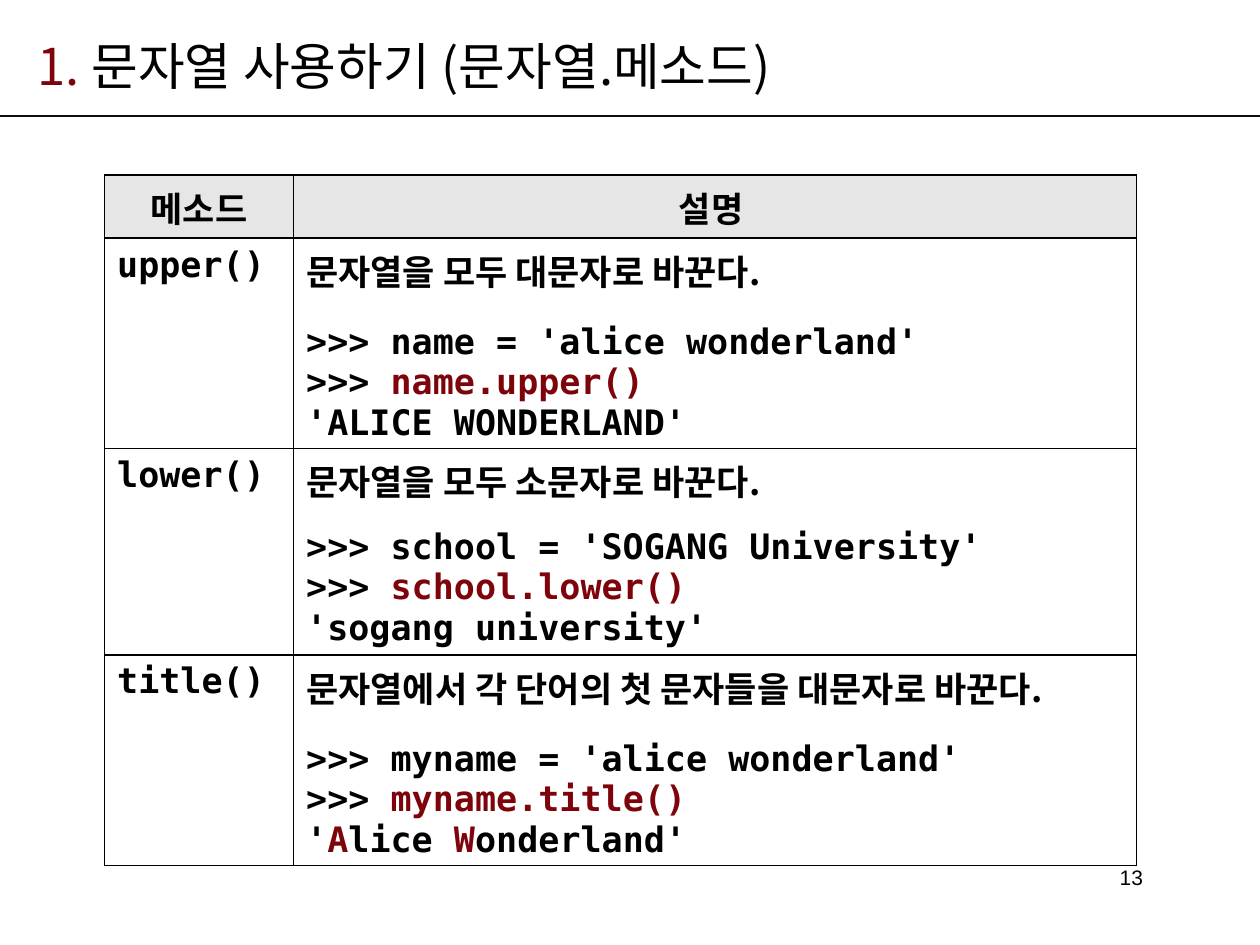
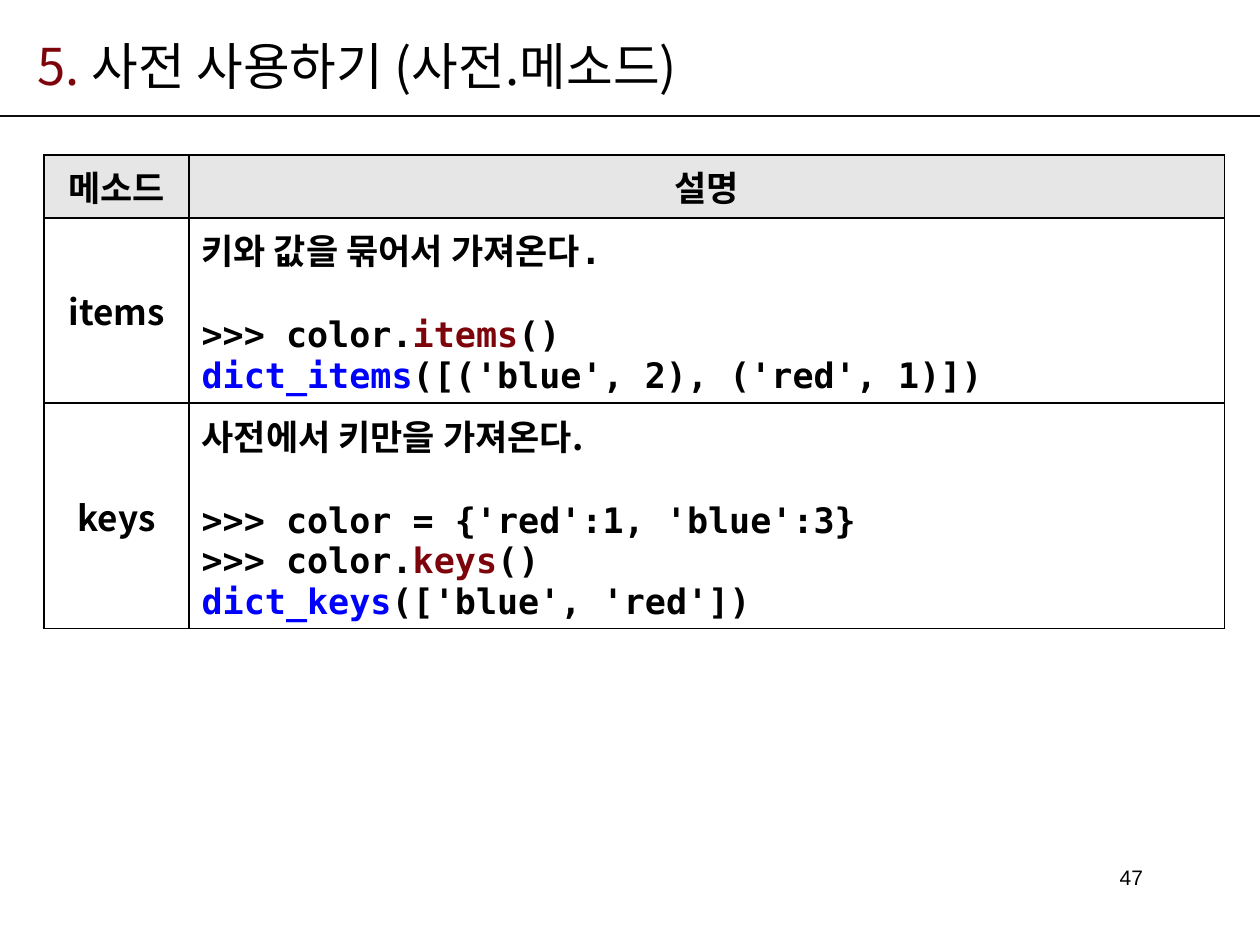
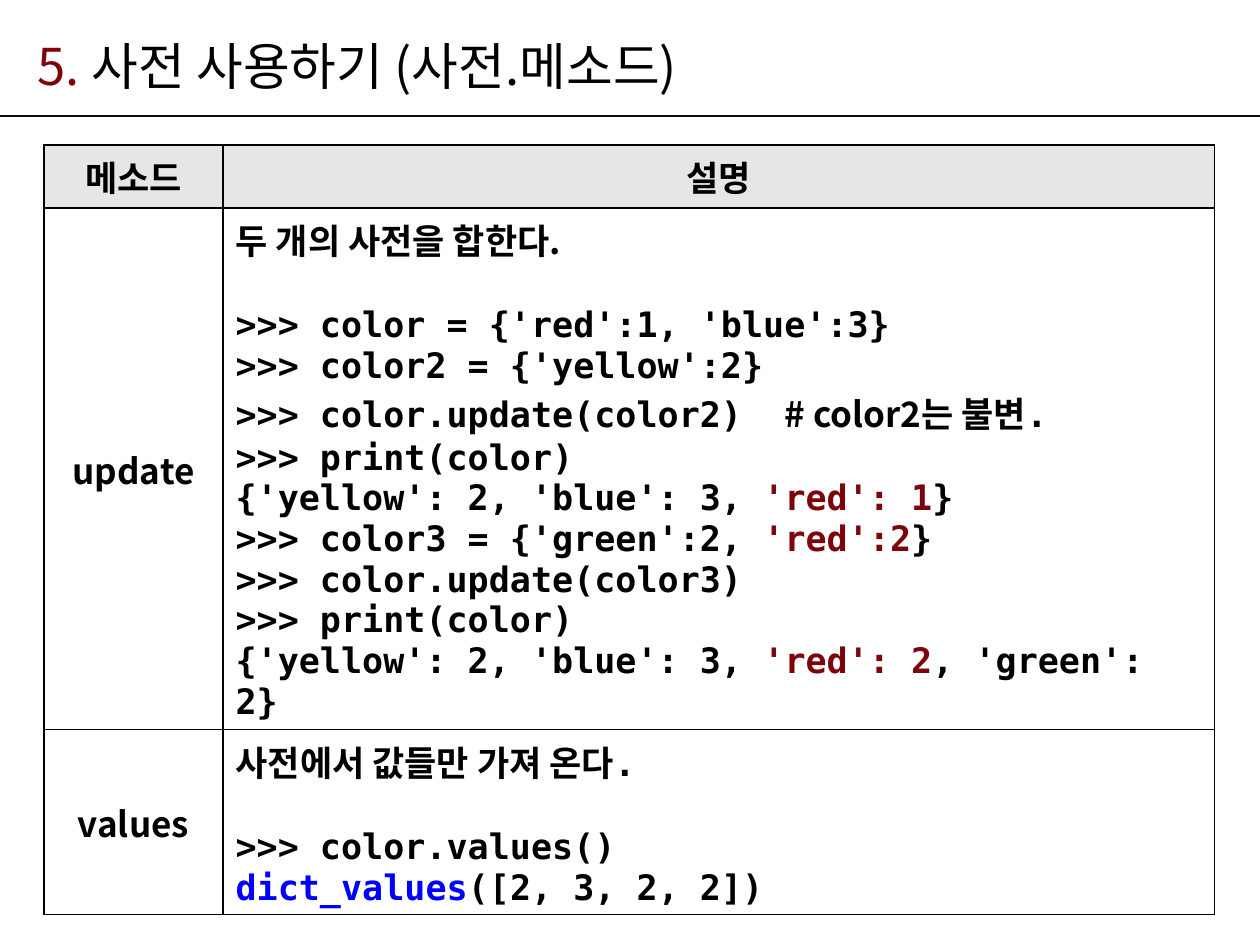
"""Build three slides of Python string and dictionary method tables."""
from dataclasses import dataclass

from lxml import etree
from pptx import Presentation
from pptx import util as u
from pptx.dml.color import RGBColor
from pptx.enum import shapes, text
from pptx.oxml.ns import qn


@dataclass(frozen=True)
class Theme:
    """Colours, fonts and type sizes of the deck."""

    black: str = "000000"
    rule: str = "0D0D0D"
    red: str = "7E040B"
    blue: str = "0000FF"
    header: str = "E6E6E6"
    white: str = "FFFFFF"
    korean: str = "Noto Sans CJK KR"
    mono: str = "DejaVu Sans Mono"
    number: str = "Arial"
    title_size: int = 29
    table_size: int = 20
    number_size: int = 12


THEME = Theme()
STYLES = {
    "note": (THEME.korean, THEME.black),
    "code": (THEME.mono, THEME.black),
    "key": (THEME.mono, THEME.red),
    "out": (THEME.mono, THEME.blue),
}
HEADER_HEIGHT = 0.5
LEFT, CENTER, RIGHT = text.PP_ALIGN.LEFT, text.PP_ALIGN.CENTER, text.PP_ALIGN.RIGHT

SLIDES = [
    {
        "title": ("1. ", "문자열 사용하기 (문자열.메소드)"),
        "number": "13",
        "place": (0.83, 1.39),
        "columns": (1.5, 6.69),
        "headers": ("메소드", "설명 "),
        "method": ("code", LEFT, text.MSO_ANCHOR.TOP),
        "rows": [
            ("upper()", 1.67, 15, [
                [("문자열을 모두 대문자로 바꾼다.", "note")],
                [(">>> name = 'alice wonderland'", "code")],
                [(">>> ", "code"), ("name.upper()", "key")],
                [("'ALICE WONDERLAND'", "code")],
            ]),
            ("lower()", 1.64, 12, [
                [("문자열을 모두 소문자로 바꾼다.", "note")],
                [(">>> school = 'SOGANG University'", "code")],
                [(">>> ", "code"), ("school.lower()", "key")],
                [("'sogang university'", "code")],
            ]),
            ("title()", 1.67, 15, [
                [("문자열에서 각 단어의 첫 문자들을 대문자로 바꾼다.", "note")],
                [(">>> myname = 'alice wonderland'", "code")],
                [(">>> ", "code"), ("myname.title()", "key")],
                [("'", "code"), ("A", "key"), ("lice ", "code"),
                 ("W", "key"), ("onderland'", "code")],
            ]),
        ],
    },
    {
        "title": ("5. ", "사전 사용하기 (사전.메소드)"),
        "number": "47",
        "place": (0.35, 1.23),
        "columns": (1.15, 8.22),
        "headers": ("메소드", "설명"),
        "method": ("note", CENTER, text.MSO_ANCHOR.MIDDLE),
        "rows": [
            ("items", 1.47, 23, [
                [("키와 값을 묶어서 가져온다.", "code")],
                [(">>> color.", "code"), ("items", "key"), ("()", "code")],
                [("dict_items", "out"), ("([('blue', 2), ('red', 1)])", "code")],
            ]),
            ("keys", 1.79, 23, [
                [("사전에서 키만을 가져온다.", "note")],
                [(">>> color = {'red':1, 'blue':3}", "code")],
                [(">>> color.", "code"), ("keys", "key"), ("()", "code")],
                [("dict_keys", "out"), ("(['blue', 'red'])", "code")],
            ]),
        ],
    },
    {
        "title": ("5. ", "사전 사용하기 (사전.메소드)"),
        "number": "50",
        "place": (0.35, 1.15),
        "columns": (1.42, 7.87),
        "headers": ("메소드", "설명"),
        "method": ("note", CENTER, text.MSO_ANCHOR.MIDDLE),
        "rows": [
            ("update", 4.14, 23, [
                [("두 개의 사전을 합한다.", "note")],
                [(">>> color = {'red':1, 'blue':3}", "code")],
                [(">>> color2 = {'yellow':2}", "code")],
                [(">>> color.update(color2)  ", "code"),
                 ("# color2는 불변", "note"), (".", "code")],
                [(">>> print(color)", "code")],
                [("{'yellow': 2, 'blue': 3, ", "code"), ("'red': 1", "key"), ("}", "code")],
                [(">>> color3 = {'green':2, ", "code"), ("'red':2", "key"), ("}", "code")],
                [(">>> color.update(color3)", "code")],
                [(">>> print(color)", "code")],
                [("{'yellow': 2, 'blue': 3, ", "code"), ("'red': 2", "key"),
                 (", 'green': 2}", "code")],
            ]),
            ("values", 1.47, 23, [
                [("사전에서 값들만 가져 온다.", "code")],
                [(">>> color.values()", "code")],
                [("dict_values", "out"), ("([2, 3, 2, 2])", "code")],
            ]),
        ],
    },
]


def add_span(para, words, font, color, size, bold=False):
    span = para.add_run()
    span.text = words
    span.font.name = font
    span.font.size = u.Pt(size)
    span.font.bold = bold
    span.font.color.rgb = RGBColor.from_string(color)
    east_asian = etree.SubElement(span.font._element, qn("a:ea"))
    east_asian.set("typeface", THEME.korean)


def place_box(box, left, top, width, height):
    box.left, box.top = u.Inches(left), u.Inches(top)
    box.width, box.height = u.Inches(width), u.Inches(height)


def add_rule(page, layout):
    rule = page.shapes.add_connector(
        shapes.MSO_CONNECTOR.STRAIGHT, 0, u.Inches(0.92), u.Inches(10), u.Inches(0.92))
    rule.line.color.rgb = RGBColor.from_string(THEME.rule)
    rule.line.width = u.Pt(1.5)
    etree.SubElement(rule.element.spPr, qn("a:effectLst"))
    layout.shapes.element.append(rule.element)


def add_title(page, parts):
    title = page.shapes.title
    place_box(title, 0.2, 0.21, 8.43, 0.61)
    frame = title.text_frame
    frame.auto_size = text.MSO_AUTO_SIZE.NONE
    frame.vertical_anchor = text.MSO_ANCHOR.MIDDLE
    para = frame.paragraphs[0]
    para.alignment = LEFT
    for words, color in zip(parts, (THEME.red, THEME.black)):
        add_span(para, words, THEME.korean, color, THEME.title_size)


def add_number(page, number):
    box = page.shapes.add_textbox(
        u.Inches(6.89), u.Inches(6.82), u.Inches(2.28), u.Inches(0.28))
    frame = box.text_frame
    frame.word_wrap = True
    frame.vertical_anchor = text.MSO_ANCHOR.MIDDLE
    para = frame.paragraphs[0]
    para.alignment = RIGHT
    add_span(para, number, THEME.number, THEME.black, THEME.number_size)


def add_borders(cell):
    properties = cell._tc.get_or_add_tcPr()
    for index, side in enumerate(("lnL", "lnR", "lnT", "lnB")):
        border = etree.Element(qn(f"a:{side}"), w=str(u.Pt(1)))
        fill = etree.SubElement(border, qn("a:solidFill"))
        etree.SubElement(fill, qn("a:srgbClr"), val=THEME.black)
        properties.insert(index, border)


def fill_cell(cell, lines, fill, align=LEFT, anchor=text.MSO_ANCHOR.TOP, gap=0):
    cell.fill.solid()
    cell.fill.fore_color.rgb = RGBColor.from_string(fill)
    cell.vertical_anchor = anchor
    add_borders(cell)
    frame = cell.text_frame
    for index, line in enumerate(lines):
        para = frame.add_paragraph() if index else frame.paragraphs[0]
        para.alignment = align
        for words, style in line:
            add_span(para, words, *STYLES[style], THEME.table_size, True)
    frame.paragraphs[0].space_after = u.Pt(gap)


def add_method_table(page, content):
    heights = [HEADER_HEIGHT] + [row[1] for row in content["rows"]]
    columns = content["columns"]
    bounds = (*content["place"], sum(columns), sum(heights))
    table = page.shapes.add_table(
        len(heights), len(columns), *(u.Inches(length) for length in bounds)).table
    table.first_row = table.horz_banding = False
    for column, width in zip(table.columns, columns):
        column.width = u.Inches(width)
    for row, height in zip(table.rows, heights):
        row.height = u.Inches(height)
    for index, header in enumerate(content["headers"]):
        fill_cell(table.cell(0, index), [[(header, "note")]], THEME.header, CENTER)
    style, align, anchor = content["method"]
    for index, (method, _, gap, lines) in enumerate(content["rows"], 1):
        fill_cell(table.cell(index, 0), [[(method, style)]], THEME.white, align, anchor)
        fill_cell(table.cell(index, 1), lines, THEME.white, gap=gap)


def main():
    deck = Presentation()
    deck.slide_width, deck.slide_height = u.Inches(10), u.Inches(7.5)
    layout = deck.slide_layouts.get_by_name("Title Only")
    for content in SLIDES:
        page = deck.slides.add_slide(layout)
        add_title(page, content["title"])
        add_number(page, content["number"])
        add_method_table(page, content)
    add_rule(page, layout)
    deck.save("out.pptx")


if __name__ == "__main__":
    main()
